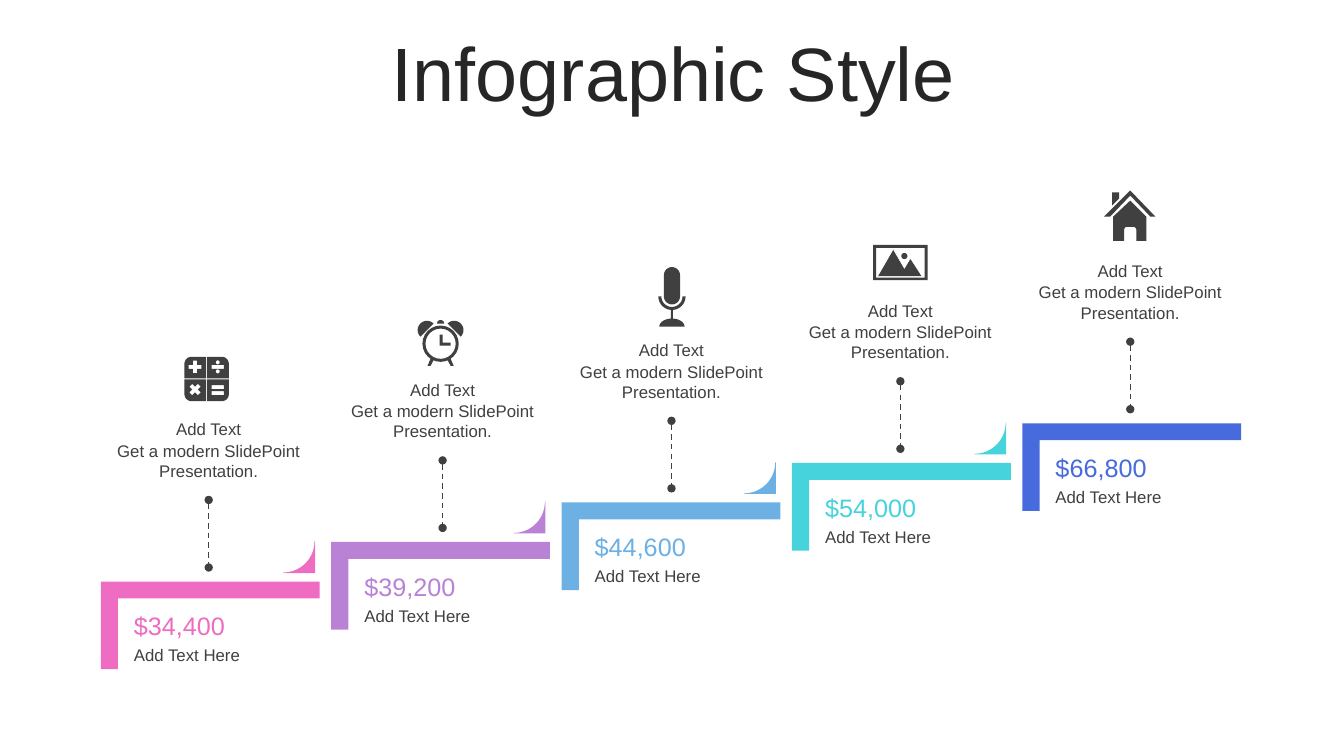
from math import cos, radians, sin

from lxml import etree
from pptx import Presentation
from pptx.dml.color import RGBColor
from pptx.enum.dml import MSO_LINE
from pptx.enum.shapes import MSO_CONNECTOR as CONN, MSO_SHAPE as SHAPE
from pptx.enum.text import MSO_ANCHOR as ANCHOR, PP_ALIGN as ALIGN
from pptx.oxml.ns import qn
from pptx.util import Inches, Pt

COLORS = {
    "title": "262626",
    "dark": "404040",
    "pink": "EE6CC1",
    "purple": "B982D5",
    "blue": "6DB0E4",
    "teal": "47D3DC",
    "indigo": "476ADD",
}


def rgb(name):
    return RGBColor.from_string(COLORS[name])


def arc(cx, cy, rx, ry, start=0, end=360, n=24):
    angles = [radians(start + (end - start) * k / n) for k in range(n + 1)]
    return [(cx + rx * cos(a), cy + ry * sin(a)) for a in angles]


def rect(x1, y1, x2, y2):
    return [(x1, y1), (x2, y1), (x2, y2), (x1, y2)]


def mirror(points, width=None, height=None):
    return [(x if width is None else width - x,
             y if height is None else height - y) for x, y in points]


def cross(cx, cy, r, t, angle=0):
    c, s = cos(radians(angle)), sin(radians(angle))
    arms = [(-t, -r), (t, -r), (t, -t), (r, -t), (r, t), (t, t),
            (t, r), (-t, r), (-t, t), (-r, t), (-r, -t), (-t, -t)]
    return [(cx + x * c - y * s, cy + x * s + y * c) for x, y in arms]


def calculator():
    key = arc(7, 7, 7, 7, 180, 270) + [(21.5, 0), (21.5, 21.5), (0, 21.5)]
    keys = [mirror(key, w, h) for w in (None, 44) for h in (None, 44)]
    return keys + [
        cross(10.5, 10, 6.25, 2), cross(10.5, 32.5, 6, 2, 45),
        rect(27, 8, 39, 12), arc(33, 5.5, 2, 2), arc(33, 14.5, 2, 2),
        rect(27, 28, 39, 32), rect(27, 34, 39, 38),
    ]


def clock():
    leg = [(13, 39), (16, 40.5), (13, 46), (10, 46)]
    bell = arc(9.5, 10.5, 9.2, 9.2, 135, 315)
    hands = [(22, 15), (25, 15), (25, 23), (33, 23), (33, 26), (22, 26)]
    return [arc(23, 24, 18, 18), arc(23, 24, 15, 15), hands,
            leg, mirror(leg, 46), bell, mirror(bell, 46),
            arc(23, 4, 3.5, 3.5, 180, 360)]


def microphone():
    return [
        arc(13.5, 8, 8, 8, 180, 360) + arc(13.5, 29, 8, 8, 0, 180),
        arc(13.5, 29, 13.5, 13.5, 0, 180) + arc(13.5, 29, 10.5, 10.5, 180, 0),
        rect(12.5, 42.5, 14.5, 51),
        arc(13.5, 59, 12.5, 8, 180, 360),
    ]


def landscape():
    hills = [(20, 5), (31, 24), (37, 14), (48, 31), (5, 31)]
    return [rect(0, 0, 54, 35), rect(3, 3, 51, 32.5), hills, arc(31, 11, 3, 3)]


def house():
    door = [(32, 50)] + arc(29, 39, 3, 3, 0, -90) + arc(23, 39, 3, 3, -90, -180) + [(20, 50)]
    walls = [(26, 10), (42, 26), (42, 50)] + door + [(9, 50), (9, 26)]
    roof = [(26, 0), (51, 26), (46, 26), (26, 5), (6, 26), (0, 26)]
    return [walls, roof, [(8, 2), (15, 2), (15, 8), (8, 15)]]


class Deck:
    def __init__(self, font="Arial"):
        self.prs = Presentation()
        self.prs.slide_width, self.prs.slide_height = Inches(13.33), Inches(7.5)
        self.slide = self.prs.slides.add_slide(self.prs.slide_layouts[6])
        self.font = font

    def text(self, text, x, y, w, h, size=12, color="dark", align=ALIGN.LEFT,
             anchor=ANCHOR.TOP, spacing=1.0):
        tf = self.slide.shapes.add_textbox(Inches(x), Inches(y), Inches(w), Inches(h)).text_frame
        tf.word_wrap = True
        tf.vertical_anchor = anchor
        p = tf.paragraphs[0]
        p.alignment, p.line_spacing = align, spacing
        r = p.add_run()
        r.text = text
        r.font.name, r.font.size = self.font, Pt(size)
        r.font.color.rgb = rgb(color)

    def paint(self, sp, color):
        sp.shadow.inherit = False
        sp.fill.solid()
        sp.fill.fore_color.rgb = rgb(color)
        sp.line.fill.background()

    def corner(self, x, y, w, h, color):
        sp = self.slide.shapes.add_shape(SHAPE.CORNER, Inches(x), Inches(y), Inches(w), Inches(h))
        sp.adjustments[0], sp.adjustments[1] = 0.193, 0.196
        sp._element.spPr.find(qn("a:xfrm")).set("flipV", "1")
        self.paint(sp, color)

    def outline(self, contours, x, y, color="dark"):
        paths = [[(Inches(x + px / 100), Inches(y + py / 100)) for px, py in c]
                 for c in contours]
        fb = self.slide.shapes.build_freeform(*paths[0][0])
        for k, points in enumerate(paths):
            if k:
                fb.move_to(*points[0])
            fb.add_line_segments(points[1:], close=True)
        self.paint(fb.convert_to_shape(), color)

    def dotted_line(self, x, y1, y2):
        cx = self.slide.shapes.add_connector(CONN.STRAIGHT, Inches(x), Inches(y1), Inches(x), Inches(y2))
        cx.line.color.rgb = rgb("dark")
        cx.line.width = Pt(1)
        cx.line.dash_style = MSO_LINE.DASH
        ln = cx._element.spPr.find(qn("a:ln"))
        for end in ("a:headEnd", "a:tailEnd"):
            etree.SubElement(ln, qn(end)).set("type", "oval")
        etree.SubElement(cx._element.spPr, qn("a:effectLst"))


STEPS = [
    ("$34,400", "pink", 2.07, calculator, 1.83, 3.54),
    ("$39,200", "purple", 4.39, clock, 4.14, 3.17),
    ("$44,600", "blue", 6.66, microphone, 6.53, 2.65),
    ("$54,000", "teal", 8.93, landscape, 8.66, 2.43),
    ("$66,800", "indigo", 11.21, house, 10.95, 1.89),
]
WING = arc(0, 0, 31, 31, 90, 0) + [(31.5, 0), (31.5, 31.5), (0, 31.5)]


def main():
    deck = Deck()
    deck.text("Infographic Style", 0.35, 0.37, 12.66, 0.79, size=54, color="title",
              align=ALIGN.CENTER, anchor=ANCHOR.MIDDLE, spacing=0.9)
    for i, (amount, color, mid, icon, icon_x, icon_y) in enumerate(STEPS):
        x, y = 1 + 2.285 * i, 5.77 - 0.3925 * i
        deck.corner(x, y, 2.17, 0.87, color)
        if i < len(STEPS) - 1:
            deck.outline([WING], x + 1.81, y - 0.4, color)
        deck.text(amount, x + 0.23, y + 0.24, 1.52, 0.4, size=18, color=color,
                  anchor=ANCHOR.MIDDLE)
        deck.text("Add Text Here", x + 0.23, y + 0.58, 1.51, 0.3)
        deck.text("Add Text", mid - 1.19, y - 1.66, 2.38, 0.3, align=ALIGN.CENTER)
        deck.text("Get a modern SlidePoint Presentation.", mid - 1.19, y - 1.45, 2.38, 0.5,
                  align=ALIGN.CENTER)
        deck.dotted_line(mid, y - 0.81, y - 0.14)
        deck.outline(icon(), icon_x, icon_y)
    deck.prs.save("out.pptx")


if __name__ == "__main__":
    main()
